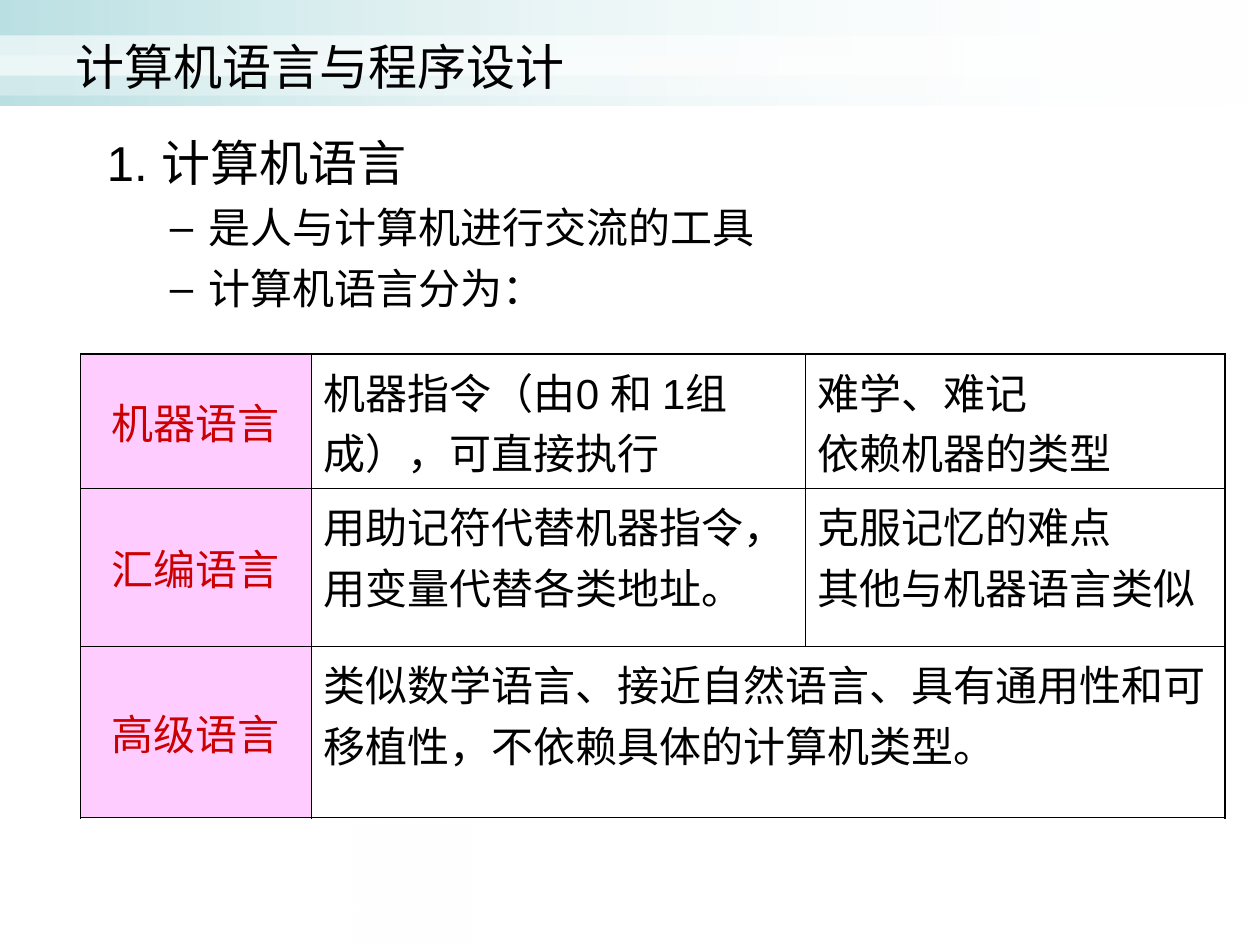
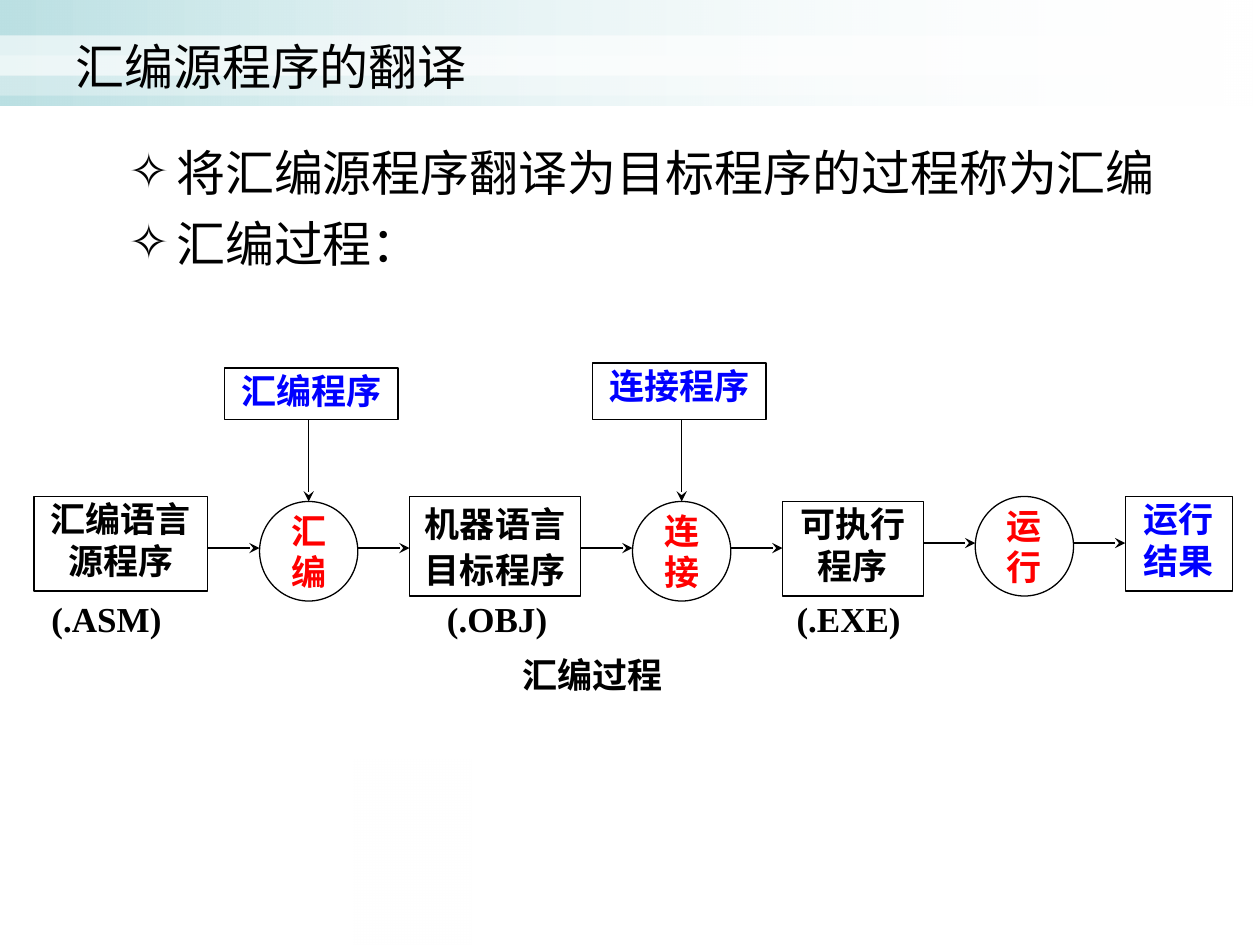
from lxml.etree import SubElement
from pptx import Presentation
from pptx.dml.color import RGBColor
from pptx.enum.shapes import MSO_CONNECTOR, MSO_SHAPE
from pptx.enum.text import MSO_ANCHOR, PP_ALIGN
from pptx.oxml.ns import qn
from pptx.util import Inches, Pt

# Shared look
WIDE, HIGH = 10, 7.5
CJK = "Noto Sans CJK SC"
BLACK, WHITE, BLUE, RED = "000000", "FFFFFF", "0000FF", "FF0000"
AQUA, PINK, BRICK = "BBE0E3", "FFCCFF", "CC0000"
HEAD = {"name": CJK, "size": Pt(28)}
BIG = {"name": "Arial", "size": Pt(28)}
MID = {"name": "Arial", "size": Pt(24)}
NODE = {"name": "Times New Roman", "size": Pt(20), "bold": True}
PAGE = (0.1, 0.05, 0.1, 0.05)
PAD = (0.1, 0.01, 0.1, 0.01)
SLIM = (0.02, 0.01, 0.02, 0.01)
LEFT, MIDDLE = PP_ALIGN.LEFT, PP_ALIGN.CENTER
TOP, HALF = MSO_ANCHOR.TOP, MSO_ANCHOR.MIDDLE

# Bands: box, then (colour, alpha %) for each gradient stop
BANDS = [
    ((0, 0, WIDE, 0.84), [(AQUA, 100), (WHITE, 0)]),
    ((0, 0.28, WIDE, 0.32), [(WHITE, 60)]),
    ((0, 0.44, WIDE, 0.32), [(WHITE, 31)]),
    ((2.8, 6.03, 0.94, 1.47), [(WHITE, 0), (WHITE, 100)]),
]

# Slide 1: body lines are (text, format, bullet, margin, hang, space before)
LANG = "计算机语言与程序设计"
LANG_BODY = [
    ("1. 计算机语言", BIG, None, 0.38, 0.38, 0),
    ("是人与计算机进行交流的工具", MID, "–", 0.81, 0.31, 6),
    ("计算机语言分为：", MID, "–", 0.81, 0.31, 6),
]
COLS, ROWS = [1.83, 3.92, 3.33], [1.07, 1.25, 1.36]
GRID = [
    ["机器语言", "机器指令（由0 和 1组成），可直接执行", "难学、难记\n依赖机器的类型"],
    ["汇编语言", "用助记符代替机器指令，用变量代替各类地址。",
     "克服记忆的难点\n其他与机器语言类似"],
    ["高级语言",
     "类似数学语言、接近自然语言、具有通用性和可移植性，不依赖具体的计算机类型。"],
]

# Slide 2: the flow from source to result
FLOW = "汇编源程序的翻译"
FLOW_BODY = [
    ("将汇编源程序翻译为目标程序的过程称为汇编", BIG, "✧", 0.38, 0.38, 0),
    ("汇编过程：", BIG, "✧", 0.38, 0.38, 7),
]
BOXES = {  # name: box, text, colour, line pitch
    "tool": ((1.78, 2.92, 1.38, 0.41), "汇编程序", BLUE, 24),
    "link": ((4.7, 2.88, 1.38, 0.45), "连接程序", BLUE, 24),
    "asm": ((0.27, 3.94, 1.38, 0.75), "汇编语言\n源程序", BLACK, 24),
    "obj": ((3.25, 3.94, 1.36, 0.79), "机器语言\n目标程序", BLACK, 26.5),
    "exe": ((6.21, 3.98, 1.12, 0.75), "可执行\n程序", BLACK, 24),
    "end": ((8.93, 3.94, 0.85, 0.75), "运行\n结果", BLUE, 24),
}
RINGS = {  # name: left, top, text
    "make": (2.06, 3.98, "汇编"),
    "join": (5.02, 3.98, "连接"),
    "run": (7.74, 3.94, "运行"),
}
RING = (0.78, 0.79)
CHAIN = ["asm", "make", "obj", "join", "exe", "run", "end"]
CHAIN_Y = [4.35] * 4 + [4.31] * 2
DROPS = [("tool", "make"), ("link", "join")]
TAGS = [(0.2, "(.ASM)"), (3.3, "(.OBJ)"), (6.09, "(.EXE)")]


def tint(code):
    return RGBColor.from_string(code)


def fade(node, share):
    """Give the colour inside a fill or stop an alpha share in percent."""
    for hue in node.iter(qn("a:srgbClr")):
        SubElement(hue, qn("a:alpha"), val=str(share * 1000))


def write(para, text, form, hue=BLACK):
    run = para.add_run()
    run.text = text
    for key, val in form.items():
        setattr(run.font, key, val)
    run.font.color.rgb = tint(hue)
    SubElement(run._r.get_or_add_rPr(), qn("a:ea"), typeface=CJK)


def fill_text(frame, text, form, hue=BLACK, align=LEFT, pitch=None):
    for i, line in enumerate(text.split("\n")):
        para = frame.add_paragraph() if i else frame.paragraphs[0]
        para.alignment = align
        if pitch:
            para.line_spacing = Pt(pitch)
        write(para, line, form, hue)


def set_frame(frame, pad, anchor=TOP):
    frame.word_wrap = True
    frame.vertical_anchor = anchor
    for side, gap in zip(("left", "top", "right", "bottom"), pad):
        setattr(frame, "margin_" + side, Inches(gap))
    return frame


def add_text(slide, box, pad, anchor=TOP):
    shape = slide.shapes.add_textbox(*map(Inches, box))
    return set_frame(shape.text_frame, pad, anchor)


def add_band(slide, box, stops):
    band = slide.shapes.add_shape(MSO_SHAPE.RECTANGLE, *map(Inches, box))
    band.shadow.inherit = False
    band.line.fill.background()
    if len(stops) == 1:
        band.fill.solid()
        band.fill.fore_color.rgb = tint(stops[0][0])
        fade(band._element.spPr, stops[0][1])
        return
    band.fill.gradient()
    band.fill.gradient_angle = 0
    marks = band._element.spPr.iter(qn("a:gs"))
    for stop, mark, (hue, share) in zip(band.fill.gradient_stops, marks, stops):
        stop.color.rgb = tint(hue)
        fade(mark, share)


def add_page(deck, title, box, body):
    slide = deck.slides.add_slide(deck.slide_layouts[6])
    for band in BANDS:
        add_band(slide, *band)
    frame = add_text(slide, (0.5, 0.13, 9, 0.79), PAGE, HALF)
    fill_text(frame, title, HEAD)
    frame = add_text(slide, box, PAGE)
    for i, (text, form, mark, margin, hang, space) in enumerate(body):
        para = frame.add_paragraph() if i else frame.paragraphs[0]
        para.space_before = Pt(space)
        props = para._p.get_or_add_pPr()
        props.set("marL", str(Inches(margin)))
        props.set("indent", str(-Inches(hang)))
        if mark:
            SubElement(props, qn("a:buFont"), typeface="Arial")
            SubElement(props, qn("a:buChar"), char=mark)
        write(para, text, form)
    return slide


# Table
def add_edge(cell, side, width):
    edge = SubElement(cell._tc.get_or_add_tcPr(), qn("a:ln" + side),
                      w=str(Pt(width)))
    paint = SubElement(edge, qn("a:solidFill"))
    SubElement(paint, qn("a:srgbClr"), val=BLACK)


def add_grid(slide):
    box = (0.64, 2.81, sum(COLS), sum(ROWS))
    table = slide.shapes.add_table(len(ROWS), len(COLS),
                                   *map(Inches, box)).table
    table.first_row = table.horz_banding = False
    for col, width in zip(table.columns, COLS):
        col.width = Inches(width)
    for row, height in zip(table.rows, ROWS):
        row.height = Inches(height)
    table.cell(2, 1).merge(table.cell(2, 2))
    for r, line in enumerate(GRID):
        for c, text in enumerate(line):
            cell = table.cell(r, c)
            outer = {"L": c == 0, "R": c == len(line) - 1,
                     "T": r == 0, "B": r == len(ROWS) - 1}
            for side, rim in outer.items():
                add_edge(cell, side, 1.08 if rim else 0.45)
            first = c == 0
            cell.fill.solid()
            cell.fill.fore_color.rgb = tint(PINK if first else WHITE)
            cell.vertical_anchor = HALF if first else TOP
            fill_text(cell.text_frame, text, MID, BRICK if first else BLACK,
                      MIDDLE if first else LEFT)


# Flow chart
def add_node(slide, kind, box, text, hue, pitch, pad, anchor=TOP):
    node = slide.shapes.add_shape(kind, *map(Inches, box))
    node.shadow.inherit = False
    node.fill.solid()
    node.fill.fore_color.rgb = tint(WHITE)
    node.line.color.rgb = tint(BLACK)
    node.line.width = Pt(0.75)
    frame = set_frame(node.text_frame, pad, anchor)
    fill_text(frame, text, NODE, hue, MIDDLE, pitch)


def add_arrow(slide, *ends):
    line = slide.shapes.add_connector(MSO_CONNECTOR.STRAIGHT, *map(Inches, ends))
    line.line.color.rgb = tint(BLACK)
    line.line.width = Pt(0.75)
    SubElement(line.line._get_or_add_ln(), qn("a:tailEnd"), type="stealth")
    SubElement(line._element.spPr, qn("a:effectLst"))


def add_flow(slide):
    spots = {key: val[0] for key, val in BOXES.items()}
    for key, (left, top, text) in RINGS.items():
        spots[key] = (left, top, *RING)
        add_node(slide, MSO_SHAPE.OVAL, spots[key], text, RED, 23.5, SLIM, HALF)
    for box, text, hue, pitch in BOXES.values():
        add_node(slide, MSO_SHAPE.RECTANGLE, box, text, hue, pitch, PAD)
    for a, b, y in zip(CHAIN, CHAIN[1:], CHAIN_Y):
        left, _, width, _ = spots[a]
        add_arrow(slide, left + width, y, spots[b][0], y)
    for a, b in DROPS:
        x = spots[b][0] + RING[0] / 2
        add_arrow(slide, x, spots[a][1] + spots[a][3], x, spots[b][1])
    for left, text in TAGS:
        frame = add_text(slide, (left, 4.73, 1.29, 0.45), PAD)
        fill_text(frame, text, NODE, align=MIDDLE, pitch=24)
    frame = add_text(slide, (4.05, 5.18, 2.19, 0.45), PAD)
    fill_text(frame, "汇编过程", NODE, pitch=24)


def main():
    deck = Presentation()
    deck.slide_width, deck.slide_height = Inches(WIDE), Inches(HIGH)
    add_grid(add_page(deck, LANG, (0.75, 1, 8.75, 1.92), LANG_BODY))
    add_flow(add_page(deck, FLOW, (0.92, 1.08, 8.42, 1.92), FLOW_BODY))
    deck.save("out.pptx")


if __name__ == "__main__":
    main()
